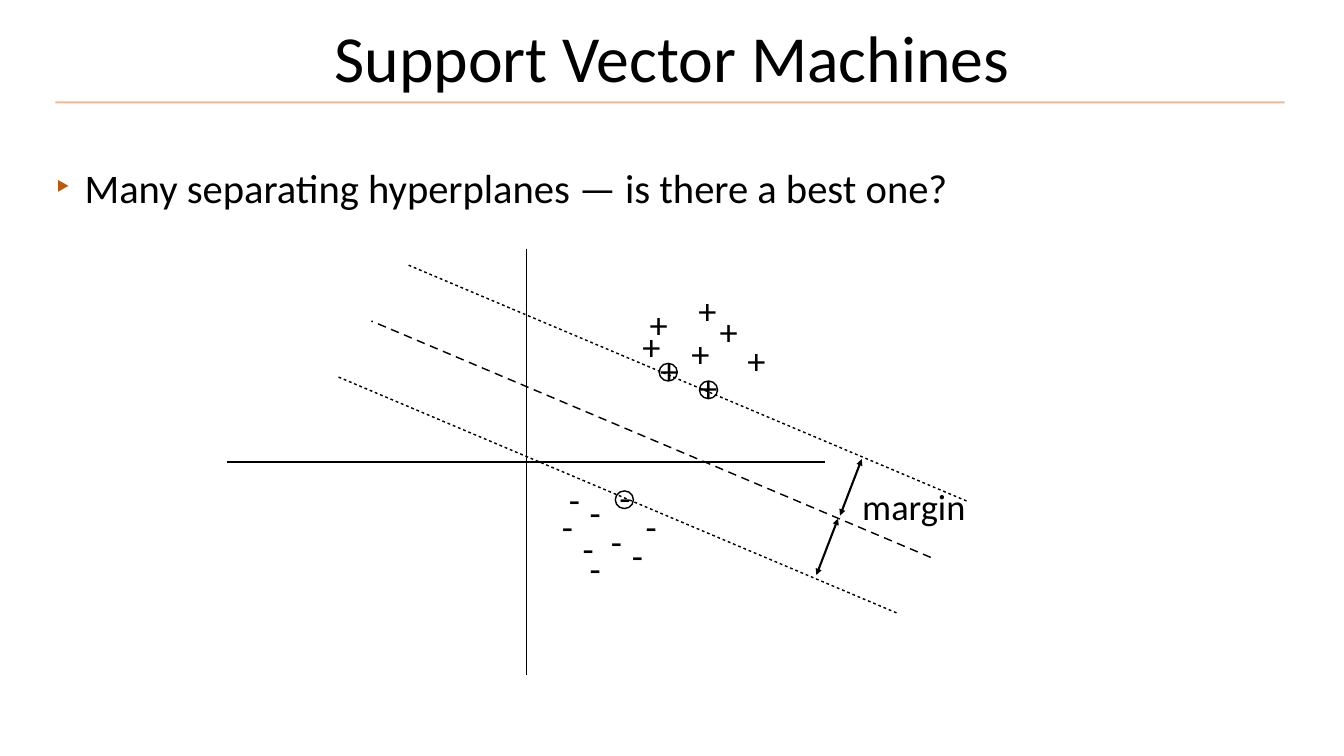
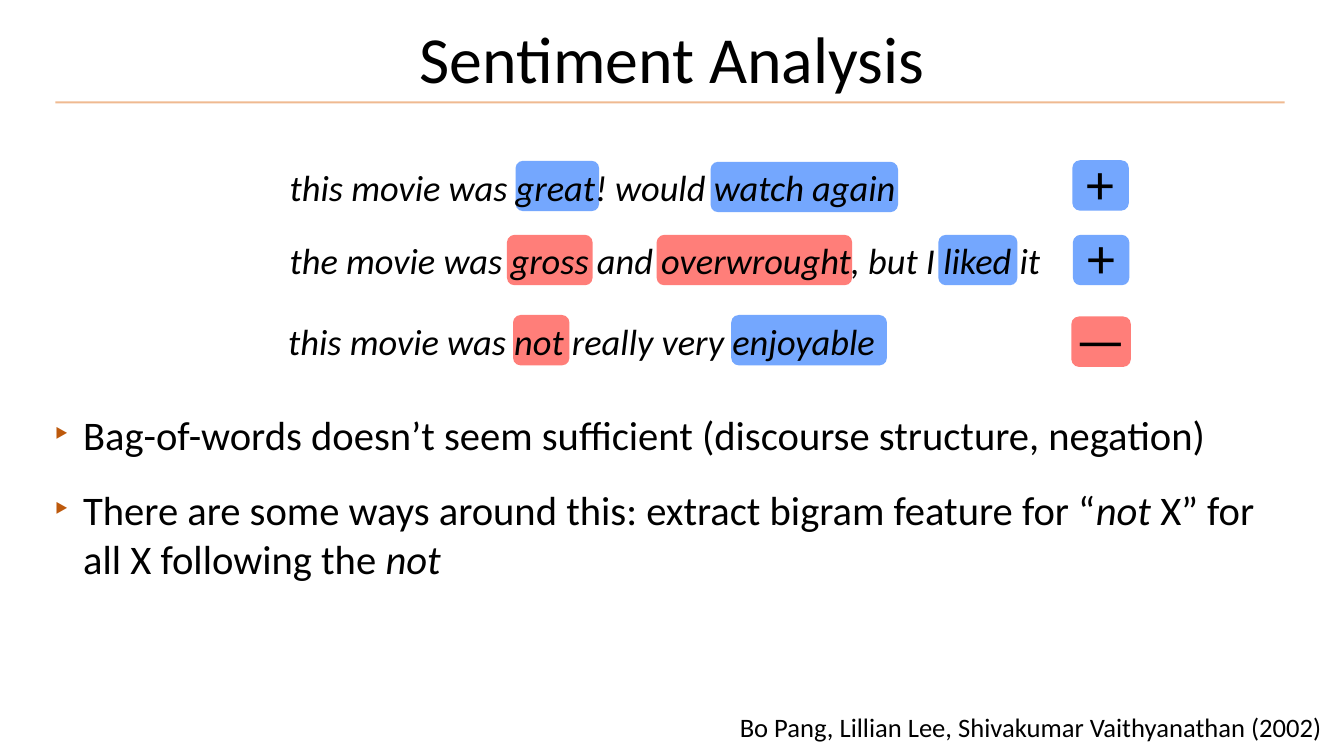
"""Build two slides on linear classifiers and sentiment analysis."""
import pptx
import pptx.dml.color
import pptx.enum.shapes
import pptx.enum.text
import pptx.oxml
import pptx.oxml.ns
import pptx.util

PX = 9144
FONT = "Calibri"
HUES = {"ink": "000000", "rule": "DE6A10", "mark": "BD590C",
        "good": "74A7FE", "bad": "FF7E79"}
DOTS = (2, 2)
DASHES = (6, 4)
ALIGN = pptx.enum.text.PP_ALIGN
ANCHOR = pptx.enum.text.MSO_ANCHOR
FIT = pptx.enum.text.MSO_AUTO_SIZE
KIND = pptx.enum.shapes.MSO_SHAPE
NS = pptx.oxml.ns.nsdecls("a")


def rgb(name):
    """Return the named colour."""
    return pptx.dml.color.RGBColor.from_string(HUES[name])


def emu(*nums):
    """Scale px lengths to EMU."""
    return [pptx.util.Emu(num * PX) for num in nums]


def node(xml):
    """Parse one drawing element such as 'a:effectLst'."""
    tag, _, rest = xml.partition(" ")
    return pptx.oxml.parse_xml(f"<{tag} {NS} {rest}/>")


def write(shape, text, size=52, align=ALIGN.LEFT, anchor=ANCHOR.TOP,
          wrap=True, fit=FIT.SHAPE_TO_FIT_TEXT, before=10):
    """Fill a shape with text, where asterisks enclose italic runs."""
    frame = shape.text_frame
    frame.word_wrap = wrap
    frame.auto_size = fit
    frame.vertical_anchor = anchor
    frame.margin_left, frame.margin_right = emu(8, 8)
    frame.margin_top, frame.margin_bottom = emu(8, 8)
    para = frame.paragraphs[0]
    para.alignment = align
    para.space_before = pptx.util.Pt(before)
    for spot, part in enumerate(text.split("*")):
        if part:
            run = para.add_run()
            run.text = part
            run.font.name = FONT
            run.font.size = pptx.util.Pt(size)
            run.font.italic = spot % 2 == 1
            run.font.color.rgb = rgb("ink")
    return para


def place(shape, *box):
    """Move a placeholder to a box in px."""
    shape.left, shape.top, shape.width, shape.height = emu(*box)


def label(slide, text, *box, **style):
    """Add a text box."""
    return write(slide.shapes.add_textbox(*emu(*box)), text, **style)


def sign(slide, text, *box, **style):
    """Add a short unwrapped text, centred on its height."""
    label(slide, text, *box, wrap=False, anchor=ANCHOR.MIDDLE, **style)


def line(slide, *ends, hue="ink", width=2, dash=None, heads=False, alpha=None):
    """Draw a straight line between two points."""
    bar = slide.shapes.add_connector(
        pptx.enum.shapes.MSO_CONNECTOR.STRAIGHT, *emu(*ends))
    bar.line.color.rgb = rgb(hue)
    bar.line.width = pptx.util.Pt(width)
    props = bar._element.spPr
    stroke = props.find(pptx.oxml.ns.qn("a:ln"))
    if alpha:
        tint = stroke.find(".//" + pptx.oxml.ns.qn("a:srgbClr"))
        tint.append(node(f'a:alpha val="{alpha * 1000}"'))
    if dash:
        on, off = dash
        style = node("a:custDash")
        style.append(node(f'a:ds d="{on * 100000}" sp="{off * 100000}"'))
        stroke.append(style)
    if heads:
        for end in ("headEnd", "tailEnd"):
            stroke.append(node(f'a:{end} type="triangle"'))
    props.append(node("a:effectLst"))


def chip(slide, hue, *box):
    """Add a rounded colour patch."""
    shape = slide.shapes.add_shape(KIND.ROUNDED_RECTANGLE, *emu(*box))
    shape.adjustments[0] = 0.15
    shape.shadow.inherit = False
    shape.fill.solid()
    shape.fill.fore_color.rgb = rgb(hue)
    shape.line.fill.background()


def ring(slide, left, top):
    """Circle a support vector."""
    shape = slide.shapes.add_shape(KIND.OVAL, *emu(left, top, 36, 35))
    shape.shadow.inherit = False
    shape.fill.background()
    shape.line.color.rgb = rgb("ink")
    shape.line.width = pptx.util.Pt(2)


def bullet(shape, text, *box):
    """Place a body holder with one bullet."""
    place(shape, *box)
    props = write(shape, text, size=58)._p.get_or_add_pPr()
    props.set("marL", str(58 * PX))
    props.set("indent", str(-58 * PX))
    tint = node("a:buClr")
    tint.append(node(f'a:srgbClr val="{HUES["mark"]}"'))
    props.append(tint)
    props.append(node('a:buChar char="‣"'))


def start(deck, layout, title, *box):
    """Add a slide with its title and rule."""
    slide = deck.slides.add_slide(deck.slide_layouts[layout])
    place(slide.shapes.title, *box)
    write(slide.shapes.title, title, size=94, align=ALIGN.CENTER,
          anchor=ANCHOR.MIDDLE, fit=FIT.NONE, before=0)
    line(slide, 110, 203, 2549, 203, hue="rule", width=3, alpha=46)
    return slide


def margins(deck):
    """Build the slide on separating hyperplanes."""
    slide = start(deck, 1, "Support Vector Machines", 487, -16, 1693, 256)
    bullet(slide.placeholders[1],
           "Many separating hyperplanes — is there a best one?",
           102, 315, 2250, 98)
    line(slide, 1045, 1339, 1045, 495)
    line(slide, 451, 917, 1638, 917)
    pluses = [(1281, 600), (1267, 642), (1302, 690), (1364, 656),
              (1380, 725), (1475, 670), (1420, 614), (1378, 572)]
    minuses = [(1121, 946), (1162, 973), (1221, 943), (1273, 1001),
               (1246, 1057), (1204, 1029), (1162, 1084), (1148, 1043),
               (1107, 1001)]
    for mark, width, spots in (("+", 53, pluses), ("-", 39, minuses)):
        for left, top in spots:
            sign(slide, mark, left, top, width, 87)
    for left, top, dash in ((808, 525, DOTS), (669, 747, DOTS),
                            (737, 637, DASHES)):
        line(slide, left + 1110, top + 469, left, top, dash=dash)
    for left, top in ((1710, 911), (1663, 1029)):
        line(slide, left, top, left - 43, top + 112, width=3, heads=True)
    label(slide, "margin", 1703, 952, 311, 87)
    for spot in ((1221, 974), (1308, 721), (1388, 756)):
        ring(slide, *spot)


def review(slide, text, left, top, width, chips, mark, badge):
    """Add a review with its marked words and its verdict."""
    for hue, chip_x, chip_y, wide in chips:
        chip(slide, hue, chip_x, chip_y, wide, 100)
    label(slide, f"*{text}*", left, top, width, 87)
    hue, badge_x, badge_y, wide = badge
    chip(slide, hue, badge_x, badge_y, wide, 100)
    span = 72 if mark == "+" else 118
    sign(slide, mark, badge_x + (wide - span) // 2 + 1, badge_y - 21,
         span, 127, size=80)


def moods(deck):
    """Build the slide on sentiment analysis."""
    slide = start(deck, 3, "Sentiment Analysis", 529, 14, 1609, 197)
    review(slide, "this movie was great! would watch again", 567, 319, 1330,
           [("good", 1410, 321, 372), ("good", 1023, 319, 166)],
           "+", ("good", 2128, 318, 112))
    review(slide, "the movie was gross and overwrought, but I liked it",
           567, 464, 1533,
           [("good", 1862, 466, 157), ("bad", 1303, 466, 388),
            ("bad", 1006, 466, 170)],
           "+", ("good", 2129, 466, 112))
    review(slide, "this movie was not really very enjoyable", 564, 625, 1330,
           [("bad", 1018, 625, 112), ("good", 1451, 625, 309)],
           "—", ("bad", 2126, 628, 118))
    bullet(slide.placeholders[1],
           "Bag-of-words doesn’t seem sufficient "
           "(discourse structure, negation)", 99, 805, 2382, 98)
    bullet(slide.placeholders[2],
           "There are some ways around this: extract bigram feature for "
           "“*not* X” for all X following the *not*", 99, 954, 2469, 198)
    label(slide, "Bo Pang, Lillian Lee, Shivakumar Vaithyanathan (2002)",
          1460, 1407, 1200, 69, size=38, anchor=ANCHOR.MIDDLE)


def main():
    """Build and save the deck."""
    deck = pptx.Presentation()
    deck.slide_width, deck.slide_height = emu(2667, 1500)
    margins(deck)
    moods(deck)
    deck.save("out.pptx")


if __name__ == "__main__":
    main()
